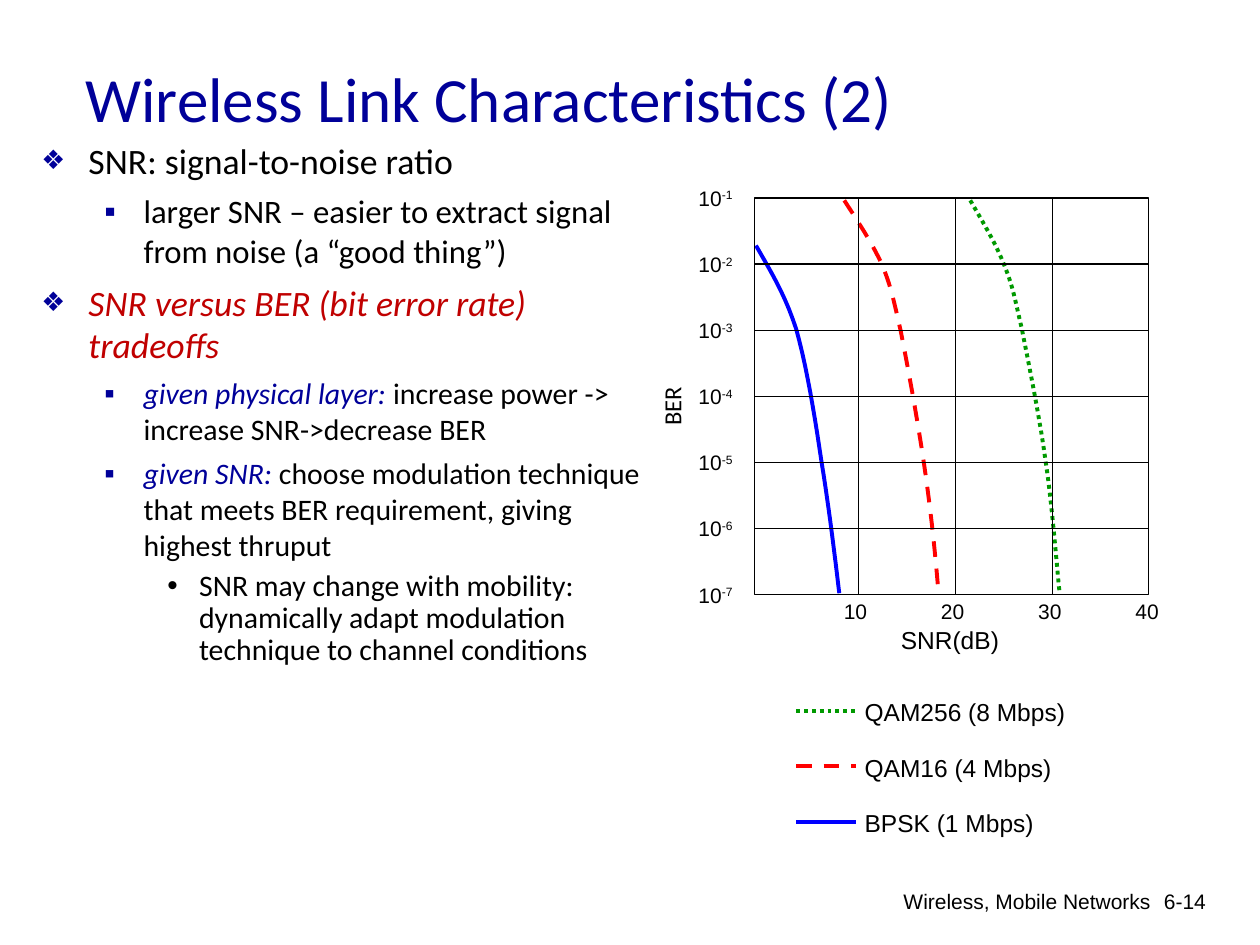
from lxml.etree import SubElement
from pptx import Presentation
from pptx.dml.color import RGBColor
from pptx.enum.dml import MSO_LINE
from pptx.enum.shapes import MSO_CONNECTOR, MSO_SHAPE
from pptx.enum.text import MSO_ANCHOR, MSO_AUTO_SIZE, PP_ALIGN
from pptx.oxml.ns import qn
from pptx.util import Cm, Pt

HUES = {"black": "000000", "navy": "000099", "brick": "C00000",
        "blue": "0000FF", "red": "FF0000", "green": "009900"}

TITLE = "Wireless Link Characteristics (2)"
BODY = [
    (0, 20.4, 0, [("SNR: signal-to-noise ratio", "black", False)]),
    (1, 18.7, 5.5, [("larger SNR – easier to extract signal from noise (a “good thing”)", "black", False)]),
    (0, 20.4, 6, [("SNR versus BER (bit error rate) tradeoffs", "brick", True)]),
    (1, 17, 5, [("given physical layer:", "navy", True),
                (" increase power -> increase SNR->decrease BER", "black", False)]),
    (1, 17, 5, [("given SNR:", "navy", True),
                (" choose modulation technique that meets BER requirement, giving highest thruput",
                 "black", False)]),
    (2, 17, 5, [("SNR may change with mobility: dynamically adapt modulation technique"
                 " to channel conditions", "black", False)]),
]
LEVELS = [
    {"mark": "❖", "left": 0.95, "hang": 0.95, "hue": "navy", "size": 75, "lead": 1.0},
    {"mark": "▪", "left": 2.06, "hang": 0.79, "hue": "navy", "size": 100, "lead": 1.0},
    {"mark": "•", "left": 3.18, "hang": 0.64, "hue": "black", "size": 100, "lead": 0.9},
]
CURVES = [
    ("BPSK (1 Mbps)", "blue", MSO_LINE.SOLID, [
        (15.24, 4.95), (15.52, 5.44), (15.82, 5.92), (16.05, 6.63), (16.26, 7.37),
        (16.43, 8.41), (16.56, 9.3), (16.71, 10.19), (16.87, 11.53), (16.92, 11.96)]),
    ("QAM16 (4 Mbps)", "red", MSO_LINE.DASH, [
        (17.02, 4.04), (17.3, 4.47), (17.58, 4.9), (17.78, 5.33), (17.96, 5.77),
        (18.01, 6.02), (18.16, 6.68), (18.29, 7.34), (18.49, 8.41), (18.62, 9.3),
        (18.75, 10.16), (18.85, 11.07), (18.92, 11.96)]),
    ("QAM256 (8 Mbps)", "green", MSO_LINE.ROUND_DOT, [
        (19.56, 4.04), (19.81, 4.47), (20.07, 4.9), (20.24, 5.33), (20.42, 5.77),
        (20.45, 5.99), (20.6, 6.63), (20.73, 7.29), (20.96, 8.41), (21.08, 9.3),
        (21.21, 10.16), (21.31, 11.48), (21.36, 11.94)]),
]
TICKS = ["10", "20", "30", "40"]
POWERS = ["-1", "-2", "-3", "-4", "-5", "-6", "-7"]
LABELS = [
    ("SNR(dB)", 17.91, 12.47, 2.6, 0.86, {"size": Pt(14)}),
    ("Wireless, Mobile Networks", 12.73, 17.78, 10.72, 0.89, {}),
    ("6-14", 22.68, 17.78, 1.88, 1.27, {}),
]
PLOT = {"left": 15.21, "top": 3.99, "wide": 7.95, "high": 8.0}
COLS = {"first": 17.3, "step": 1.96}
ROW = PLOT["high"] / (len(POWERS) - 1)

deck = Presentation()
deck.slide_width, deck.slide_height = Cm(25.4), Cm(19.05)
slide = deck.slides.add_slide(deck.slide_layouts[1])
shapes = slide.shapes


def rgb(hue):
    return RGBColor.from_string(HUES[hue])


def style(font, hue="black", **form):
    for key, val in form.items():
        setattr(font, key, val)
    font.color.rgb = rgb(hue)


def place(shape, *box):
    for key, val in zip(("left", "top", "width", "height"), box):
        setattr(shape, key, Cm(val))


def write(para, text, **form):
    run = para.add_run()
    run.text = text
    style(run.font, **form)
    return run


def label(text, *box, wrap=False, align=PP_ALIGN.LEFT, **form):
    shape = shapes.add_textbox(*map(Cm, box))
    shape.text_frame.word_wrap = wrap
    para = shape.text_frame.paragraphs[0]
    para.alignment = align
    write(para, text, **{"name": "Arial", "size": Pt(12), **form})
    return shape


def stroke(line, hue, width, dash=MSO_LINE.SOLID):
    line.color.rgb = rgb(hue)
    line.width = Pt(width)
    line.dash_style = dash


def rule(ax, ay, bx, by, *pen):
    wire = shapes.add_connector(MSO_CONNECTOR.STRAIGHT, *map(Cm, (ax, ay, bx, by)))
    SubElement(wire._element.spPr, qn("a:effectLst"))
    stroke(wire.line, *pen)


def bend(knots, steps=10):
    for at in range(0, len(knots) - 1, 3):
        for i in range(1, steps + 1):
            t = i / steps
            parts = ((1 - t) ** 3, 3 * t * (1 - t) ** 2, 3 * t * t * (1 - t), t ** 3)
            yield tuple(Cm(sum(w * p[axis] for w, p in zip(parts, knots[at:at + 4])))
                        for axis in (0, 1))


def bullet(para, mark, left, hang, hue, size, lead):
    para.line_spacing = lead
    prop = para._p.get_or_add_pPr()
    prop.set("marL", str(Cm(left)))
    prop.set("indent", str(-Cm(hang)))
    tint = SubElement(prop, qn("a:buClr"))
    SubElement(tint, qn("a:srgbClr"), val=HUES[hue])
    SubElement(prop, qn("a:buSzPct"), val=str(size * 1000))
    SubElement(prop, qn("a:buFont"), typeface="Arial")
    SubElement(prop, qn("a:buChar"), char=mark)


title, body = slide.placeholders
place(title, 1.47, 0.38, 21.59, 3.18)
title.text_frame.auto_size = MSO_AUTO_SIZE.NONE
title.text_frame.vertical_anchor = MSO_ANCHOR.MIDDLE
head = title.text_frame.paragraphs[0]
head.alignment = PP_ALIGN.LEFT
write(head, TITLE, hue="navy", name="Calibri", size=Pt(36))

place(body, 0.58, 2.67, 12.95, 14.43)
frame = body.text_frame
frame.auto_size = MSO_AUTO_SIZE.NONE
for i, (level, size, gap, runs) in enumerate(BODY):
    para = frame.add_paragraph() if i else frame.paragraphs[0]
    para.level = level
    para.space_before = Pt(gap)
    bullet(para, **LEVELS[level])
    for text, hue, slant in runs:
        write(para, text, hue=hue, name="Calibri", size=Pt(size), italic=slant)

for name, hue, dash, knots in CURVES:
    pen = shapes.build_freeform(*map(Cm, knots[0]))
    pen.add_line_segments(bend(knots), close=False)
    curve = pen.convert_to_shape()
    curve.shadow.inherit = False
    curve.fill.background()
    stroke(curve.line, hue, 2.25, dash)

edge = shapes.add_shape(MSO_SHAPE.RECTANGLE, *map(Cm, PLOT.values()))
edge.shadow.inherit = False
edge.fill.background()
stroke(edge.line, "black", 0.75)
left, top, wide, high = PLOT.values()
for i in range(1, len(POWERS) - 1):
    rule(left, top + i * ROW, left + wide, top + i * ROW, "black", 0.75)
for i, text in enumerate(TICKS):
    x = COLS["first"] + i * COLS["step"]
    if i < len(TICKS) - 1:
        rule(x, top, x, top + high, "black", 0.75)
    label(text, x - 0.54, 11.94, 1.0, 0.76)
for i, power in enumerate(POWERS):
    tick = label("10", 13.83, top - 0.38 + i * ROW, 1.2, 0.76)
    sup = write(tick.text_frame.paragraphs[0], power, name="Arial", size=Pt(12))
    sup._r.get_or_add_rPr().set("baseline", "30000")

for i, (name, hue, dash, knots) in enumerate(reversed(CURVES)):
    y = 14.33 + i * 1.12
    rule(16.05, y, 17.25, y, hue, 2.25, dash)
    label(name, 17.18, y - 0.4, 5.2, 0.86, size=Pt(14))

for text, *box, form in LABELS:
    foot = not form
    label(text, *box, wrap=foot, align=PP_ALIGN.RIGHT if foot else PP_ALIGN.LEFT, **form)
axis = label("BER", 12.85, 7.7, 1.4, 0.86, name="Calibri", size=Pt(14))
axis.rotation = 270

deck.save("out.pptx")
